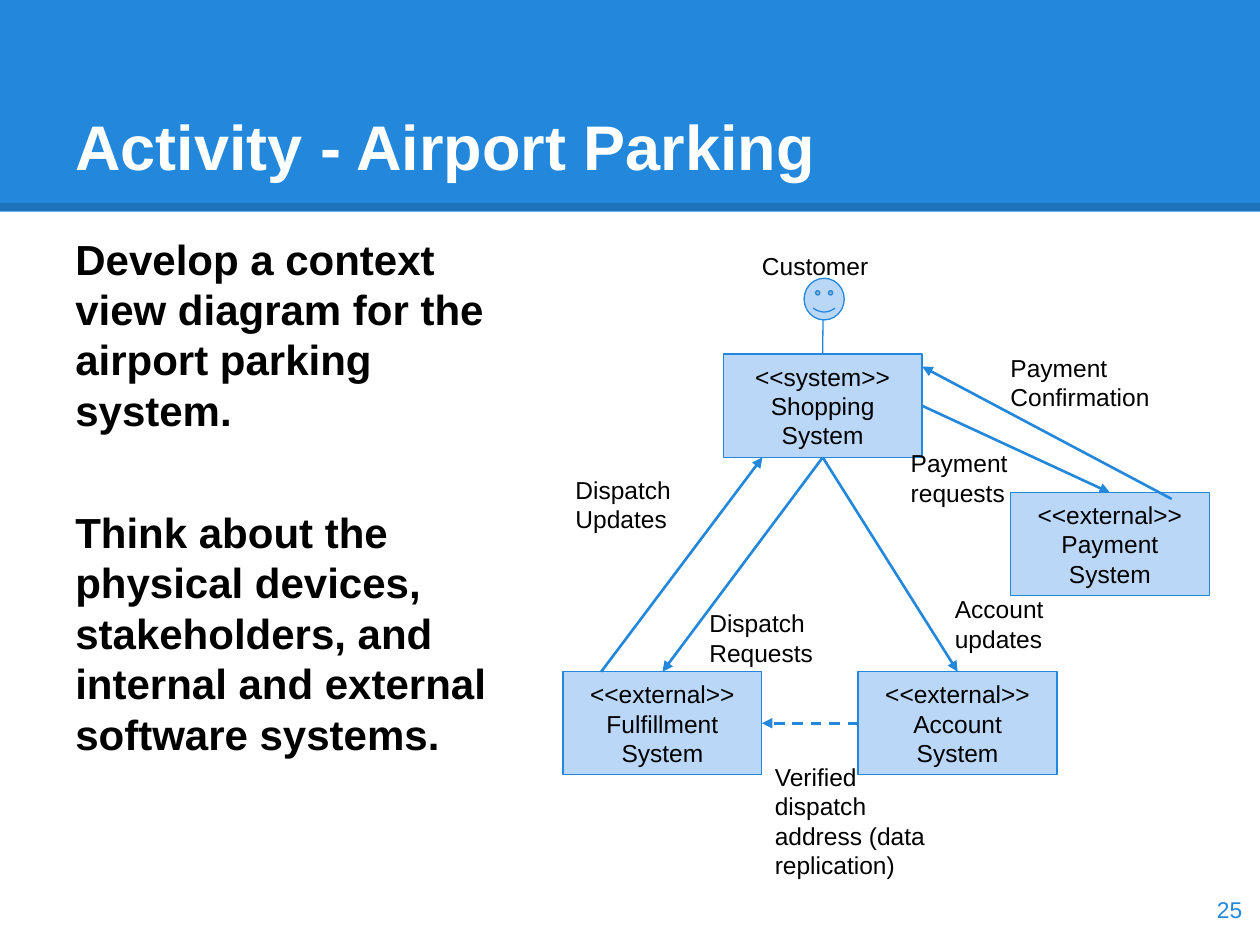
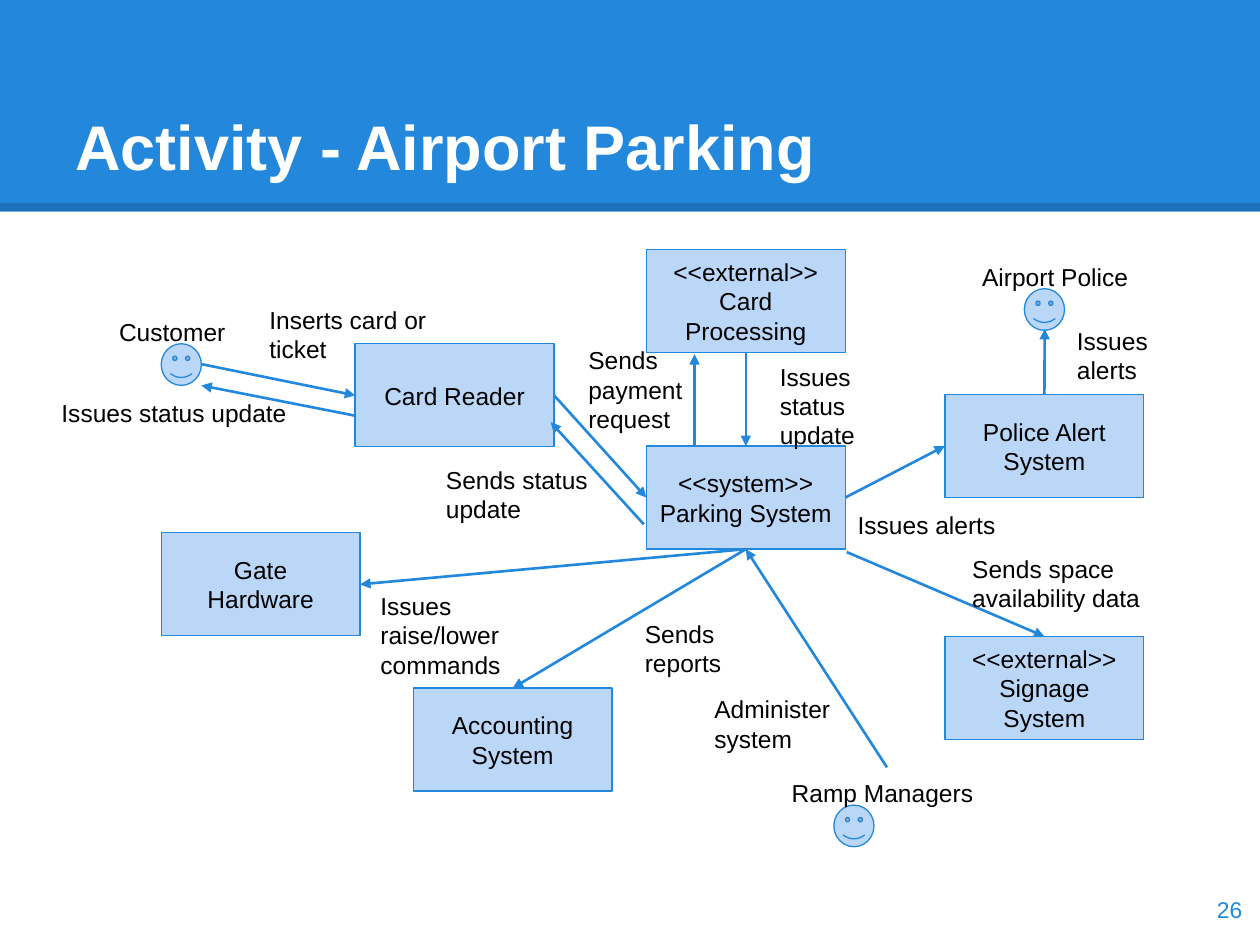
from pptx import Presentation
from pptx.dml.color import RGBColor
from pptx.enum.dml import MSO_LINE
from pptx.enum.shapes import MSO_CONNECTOR, MSO_SHAPE
from pptx.enum.text import MSO_ANCHOR, PP_ALIGN
from pptx.oxml.ns import qn
from pptx.util import Cm, Pt
from lxml import etree

BLUE = RGBColor(0x23, 0x88, 0xDB)
PALE_BLUE = RGBColor(0xBB, 0xD7, 0xF8)
BLACK = RGBColor(0, 0, 0)
WHITE = RGBColor(0xFF, 0xFF, 0xFF)

RECTANGLE = MSO_SHAPE.RECTANGLE
SMILEY = MSO_SHAPE.SMILEY_FACE
STRAIGHT = MSO_CONNECTOR.STRAIGHT
DASH = MSO_LINE.DASH
TOP_ANCHOR, MIDDLE, BOTTOM_ANCHOR = MSO_ANCHOR.TOP, MSO_ANCHOR.MIDDLE, MSO_ANCHOR.BOTTOM
ALIGN_LEFT, ALIGN_CENTER, ALIGN_RIGHT = PP_ALIGN.LEFT, PP_ALIGN.CENTER, PP_ALIGN.RIGHT

FONT = "Arial"
TITLE = "Activity - Airport Parking"
SLIDE_WIDTH, SLIDE_HEIGHT = 25.4, 19.05
INSET = 0.25
NODE_WIDTH, NODE_HEIGHT = 4.01, 2.08
FACE_WIDTH, FACE_HEIGHT = 0.81, 0.84
TOP, LEFT, BOTTOM, RIGHT = range(4)


def write(shape, paragraphs, size, color=BLACK, bold=False,
          align=ALIGN_LEFT, anchor=TOP_ANCHOR, gap=0):
    frame = shape.text_frame
    frame.word_wrap = True
    frame.vertical_anchor = anchor
    frame.margin_left = frame.margin_right = Cm(INSET)
    frame.margin_top = frame.margin_bottom = Cm(INSET)
    for index, text in enumerate(paragraphs):
        paragraph = frame.add_paragraph() if index else frame.paragraphs[0]
        paragraph.alignment = align
        if index and gap:
            paragraph.space_before = Pt(gap)
        run = paragraph.add_run()
        run.text = text
        run.font.name = FONT
        run.font.size = Pt(size)
        run.font.bold = bold
        run.font.color.rgb = color


def add_text(slide, box, paragraphs, size, **style):
    text_box = slide.shapes.add_textbox(*map(Cm, box))
    write(text_box, paragraphs, size, **style)


def add_filled(slide, kind, box, fill, outline=None):
    shape = slide.shapes.add_shape(kind, *map(Cm, box))
    shape.shadow.inherit = False
    shape.fill.solid()
    shape.fill.fore_color.rgb = fill
    if outline is None:
        shape.line.fill.background()
    else:
        shape.line.color.rgb = outline
        shape.line.width = Pt(0.75)
    return shape


def add_line(slide, start, end, color, width):
    line = slide.shapes.add_connector(STRAIGHT, *map(Cm, (*start, *end)))
    line.line.color.rgb = color
    line.line.width = Pt(width)
    etree.SubElement(line._element.spPr, qn("a:effectLst"))
    return line


class Diagram:
    def __init__(self, slide, left, top):
        self.slide = slide
        self.left = left
        self.top = top

    def place(self, x, y):
        return self.left + x, self.top + y

    def node(self, x, y, *paragraphs):
        box = (*self.place(x, y), NODE_WIDTH, NODE_HEIGHT)
        shape = add_filled(self.slide, RECTANGLE, box, PALE_BLUE, BLUE)
        write(shape, paragraphs, 14, align=ALIGN_CENTER, anchor=MIDDLE)
        return shape

    def label(self, x, y, width, height, text):
        add_text(self.slide, (*self.place(x, y), width, height), [text], 14)

    def actor(self, x, y, name, name_width):
        box = (*self.place(x, y), FACE_WIDTH, FACE_HEIGHT)
        add_filled(self.slide, SMILEY, box, PALE_BLUE, BLUE)
        self.label(x - 1.1, y - 0.77, name_width, 0.48, name)

    def link(self, start, end, width=1.5, dashed=False, arrow=True):
        ends = [(0, 0) if hasattr(point[0], "shape_id") else self.place(*point)
                for point in (start, end)]
        line = add_line(self.slide, *ends, BLUE, width)
        for point, connect in ((start, line.begin_connect), (end, line.end_connect)):
            if hasattr(point[0], "shape_id"):
                connect(*point)
        if dashed:
            line.line.dash_style = DASH
        if arrow:
            outline = line._element.spPr.find(qn("a:ln"))
            etree.SubElement(outline, qn("a:tailEnd"), type="triangle")


def add_frame(presentation, number):
    slide = presentation.slides.add_slide(presentation.slide_layouts[6])
    add_filled(slide, RECTANGLE, (0, 0, SLIDE_WIDTH, 4.27), BLUE)
    edge = add_line(slide, (0, 4.17), (SLIDE_WIDTH, 4.17), BLACK, 4.5)
    edge_color = edge._element.spPr.find(".//" + qn("a:srgbClr"))
    etree.SubElement(edge_color, qn("a:alpha"), val="15000")
    add_text(slide, (1.27, 0.76, 22.86, 3.18), [TITLE], 36,
             color=WHITE, bold=True, anchor=BOTTOM_ANCHOR)
    add_text(slide, (23.77, 17.6, 1.52, 1.45), [str(number)], 13,
             color=BLUE, align=ALIGN_RIGHT, anchor=MIDDLE)
    return slide


def add_task(slide, box):
    add_text(slide, box, [
        "Develop a context view diagram for the airport parking system.",
        "Think about the physical devices, stakeholders, and internal and "
        "external software systems.",
    ], 24, bold=True, gap=41)


def add_shopping_view(slide, left, top):
    diagram = Diagram(slide, left, top)
    shopping = diagram.node(3.23, 2.29, "<<system>>", "Shopping System")
    fulfillment = diagram.node(0, 8.69, "<<external>>", "Fulfillment System")
    account = diagram.node(5.95, 8.69, "<<external>>", "Account System")
    payment = diagram.node(9.02, 5.08, "<<external>>", "Payment System")
    diagram.actor(4.86, 0.76, "Customer", 3)

    diagram.link((5.24, 1.6), (shopping, TOP), width=0.75, arrow=False)
    diagram.link((account, LEFT), (fulfillment, RIGHT), dashed=True)
    diagram.link((shopping, BOTTOM), (fulfillment, TOP))
    diagram.link((0.77, 8.69), (4.02, 4.37))
    diagram.link((shopping, BOTTOM), (account, TOP))
    diagram.link((shopping, RIGHT), (payment, TOP))
    diagram.link((12.27, 5.21), (7.24, 2.54))

    for label in (
        (4.02, 10.26, 4.01, 2.72, "Verified dispatch address (data replication)"),
        (2.7, 7.16, 3.25, 1.17, "Dispatch Requests"),
        (0, 4.47, 2.87, 1.73, "Dispatch Updates"),
        (7.65, 6.88, 3.61, 0.66, "Account updates"),
        (8.77, 2.01, 3.61, 1.17, "Payment Confirmation"),
        (6.76, 3.94, 2.69, 1.45, "Payment requests"),
    ):
        diagram.label(*label)


def add_parking_view(slide, left, top):
    diagram = Diagram(slide, left, top)
    parking = diagram.node(12.04, 3.96, "<<system>>", "Parking System")
    gate = diagram.node(2.26, 5.71, "Gate", "Hardware")
    card_processing = diagram.node(12.04, 0, "<<external>>", "Card Processing")
    police_alert = diagram.node(18.06, 2.92, "Police Alert System")
    card_reader = diagram.node(6.17, 1.9, "Card Reader")
    accounting = diagram.node(7.34, 8.84, "Accounting System")
    signage = diagram.node(18.06, 7.8, "<<external>> Signage System")
    diagram.actor(2.26, 1.9, "Customer", 3)
    diagram.actor(19.66, 0.79, "Airport Police", 3.86)
    diagram.actor(15.82, 11.2, "Ramp Managers", 4.32)

    for start, end in (
        ((3.07, 2.31), (card_reader, LEFT)),
        ((6.17, 3.35), (3.07, 2.74)),
        ((card_reader, RIGHT), (parking, LEFT)),
        ((13.01, 3.96), (13.01, 2.11)),
        ((card_processing, BOTTOM), (parking, TOP)),
        ((parking, BOTTOM), (gate, RIGHT)),
        ((parking, RIGHT), (police_alert, LEFT)),
        ((police_alert, TOP), (20.07, 1.6)),
        ((parking, BOTTOM), (accounting, TOP)),
        ((11.99, 5.54), (10.11, 3.48)),
        ((16.89, 10.44), (parking, BOTTOM)),
        ((16.08, 6.1), (signage, TOP)),
    ):
        diagram.link(start, end)

    for label in (
        (0, 2.74, 5.26, 0.61, "Issues status update"),
        (4.19, 0.86, 4.32, 0.84, "Inserts card or ticket"),
        (10.62, 1.68, 3, 1.3, "Sends payment request"),
        (14.48, 2.01, 2.82, 0.61, "Issues status update"),
        (6.43, 6.63, 3.51, 0.84, "Issues raise/lower commands"),
        (16.05, 5, 3.71, 0.84, "Issues alerts"),
        (20.47, 1.29, 2.82, 0.84, "Issues alerts"),
        (11.76, 7.19, 2.51, 1.45, "Sends reports"),
        (7.75, 4.09, 4.01, 0.84, "Sends status update"),
        (13.16, 8.74, 4.14, 0.48, "Administer system"),
        (18.36, 5.89, 5.26, 1.04, "Sends space availability data"),
    ):
        diagram.label(*label)


def main():
    presentation = Presentation()
    presentation.slide_width = Cm(SLIDE_WIDTH)
    presentation.slide_height = Cm(SLIDE_HEIGHT)

    task_slide = add_frame(presentation, 25)
    add_task(task_slide, (1.27, 4.45, 9.6, 13.79))
    add_shopping_view(task_slide, 11.35, 4.85)

    parking_slide = add_frame(presentation, 26)
    add_parking_view(parking_slide, 0.99, 5.03)

    presentation.save("out.pptx")


if __name__ == "__main__":
    main()
